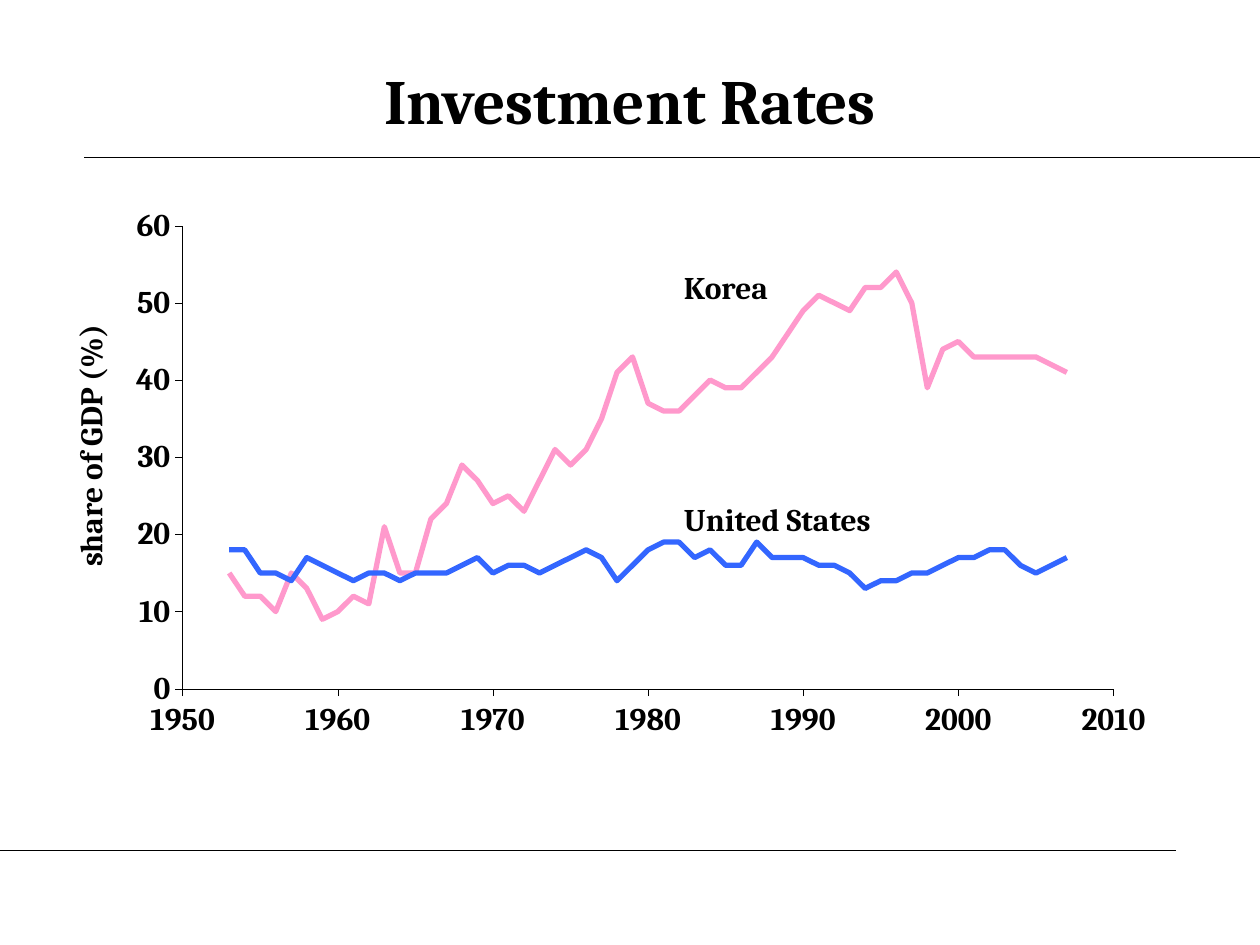
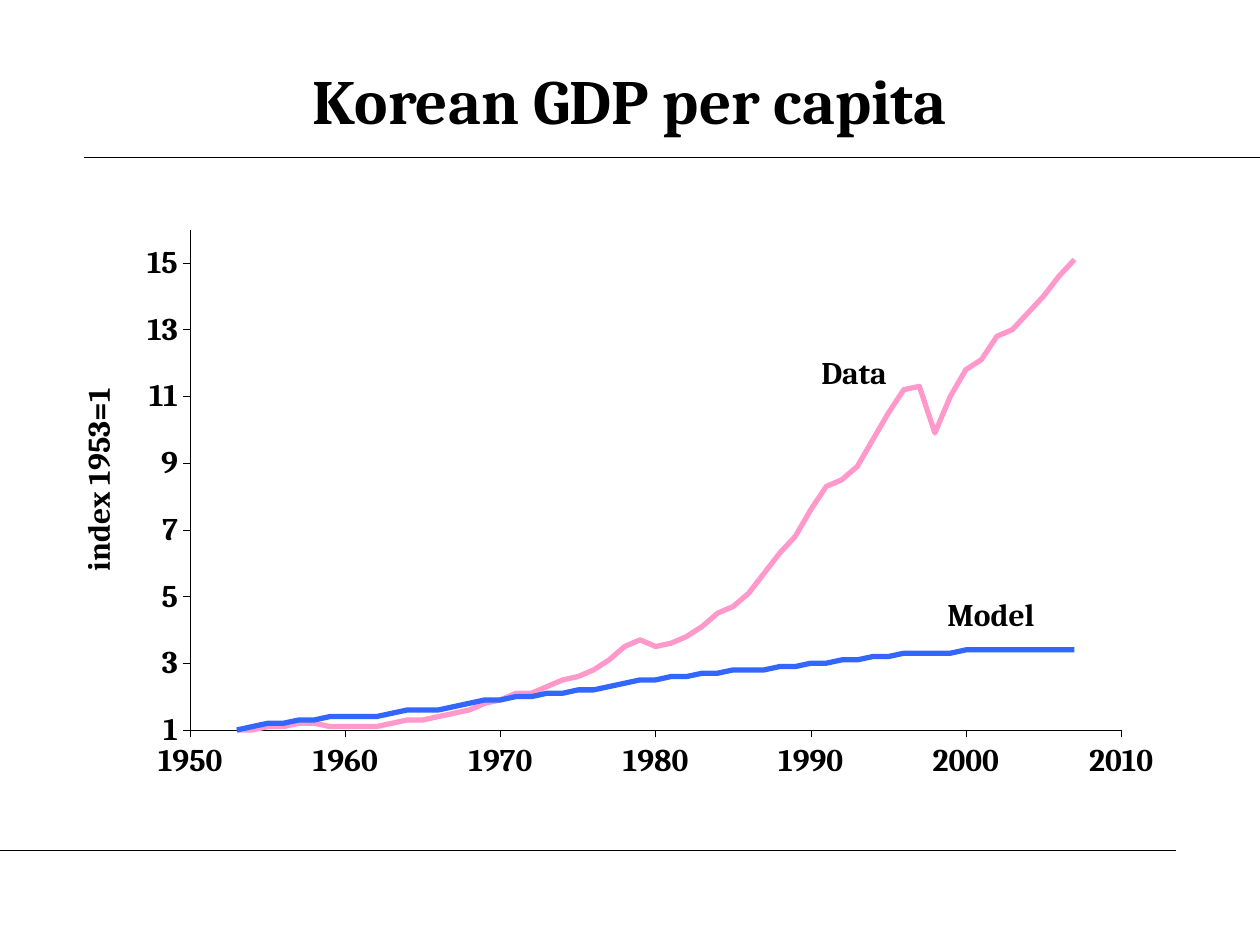
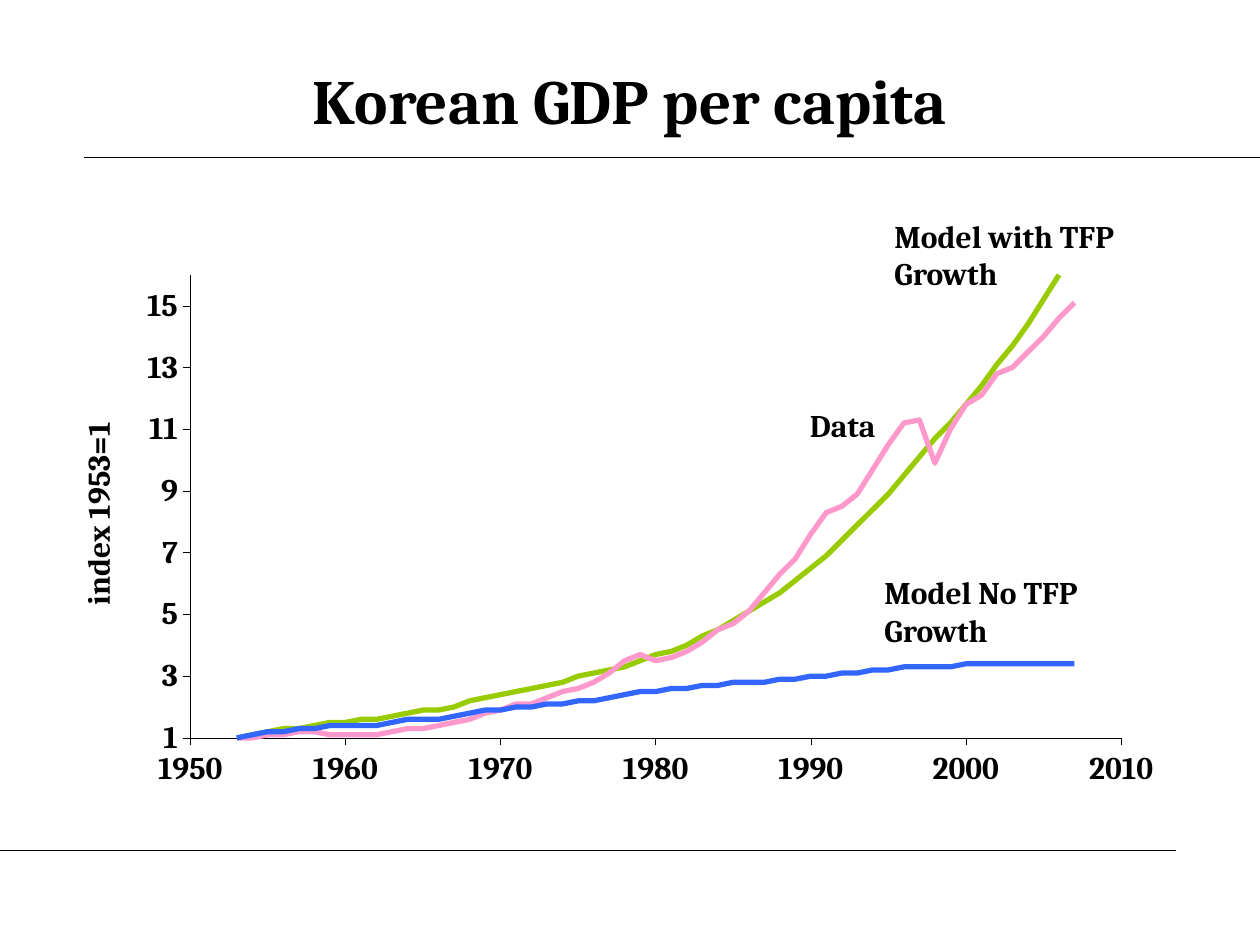
from lxml.etree import SubElement
from pptx import Presentation
from pptx.chart.data import XyChartData
from pptx.dml.color import RGBColor
from pptx.enum.chart import XL_AXIS_CROSSES, XL_CHART_TYPE, XL_TICK_MARK
from pptx.enum.shapes import MSO_CONNECTOR
from pptx.enum.text import MSO_ANCHOR, PP_ALIGN
from pptx.oxml.ns import qn
from pptx.util import Inches, Pt

FONT = "Cambria"
HEX = {"ink": "000000", "blue": "3366FF", "pink": "FF99CC", "green": "99CC00"}
YEARS = range(1953, 2008)
PLOT = {"x": 0.126, "y": 0.077, "w": 0.831, "h": 0.761}

USA = [
    18, 18, 15, 15, 14, 17, 16, 15, 14, 15, 15, 14, 15, 15, 15, 16, 17, 15, 16,
    16, 15, 16, 17, 18, 17, 14, 16, 18, 19, 19, 17, 18, 16, 16, 19, 17, 17, 17,
    16, 16, 15, 13, 14, 14, 15, 15, 16, 17, 17, 18, 18, 16, 15, 16, 17]
KOREA = [
    15, 12, 12, 10, 15, 13, 9, 10, 12, 11, 21, 15, 15, 22, 24, 29, 27, 24, 25,
    23, 27, 31, 29, 31, 35, 41, 43, 37, 36, 36, 38, 40, 39, 39, 41, 43, 46, 49,
    51, 50, 49, 52, 52, 54, 50, 39, 44, 45, 43, 43, 43, 43, 43, 42, 41]
MODEL = [
    1, 1.1, 1.2, 1.2, 1.3, 1.3, 1.4, 1.4, 1.4, 1.4, 1.5, 1.6, 1.6, 1.6, 1.7,
    1.8, 1.9, 1.9, 2, 2, 2.1, 2.1, 2.2, 2.2, 2.3, 2.4, 2.5, 2.5, 2.6, 2.6, 2.7,
    2.7, 2.8, 2.8, 2.8, 2.9, 2.9, 3, 3, 3.1, 3.1, 3.2, 3.2, 3.3, 3.3, 3.3, 3.3,
    3.4, 3.4, 3.4, 3.4, 3.4, 3.4, 3.4, 3.4]
DATA = [
    1, 1, 1.1, 1.1, 1.2, 1.2, 1.1, 1.1, 1.1, 1.1, 1.2, 1.3, 1.3, 1.4, 1.5, 1.6,
    1.8, 1.9, 2.1, 2.1, 2.3, 2.5, 2.6, 2.8, 3.1, 3.5, 3.7, 3.5, 3.6, 3.8, 4.1,
    4.5, 4.7, 5.1, 5.7, 6.3, 6.8, 7.6, 8.3, 8.5, 8.9, 9.7, 10.5, 11.2, 11.3,
    9.9, 11, 11.8, 12.1, 12.8, 13, 13.5, 14, 14.6, 15.1]
GROWTH = [
    1, 1.1, 1.2, 1.3, 1.3, 1.4, 1.5, 1.5, 1.6, 1.6, 1.7, 1.8, 1.9, 1.9, 2, 2.2,
    2.3, 2.4, 2.5, 2.6, 2.7, 2.8, 3, 3.1, 3.2, 3.3, 3.5, 3.7, 3.8, 4, 4.3, 4.5,
    4.8, 5.1, 5.4, 5.7, 6.1, 6.5, 6.9, 7.4, 7.9, 8.4, 8.9, 9.5, 10.1, 10.7,
    11.2, 11.8, 12.4, 13.1, 13.7, 14.4, 15.2, 16, 16.8]


def color(name):
    """Return a palette colour."""
    return RGBColor.from_string(HEX[name])


def style(font, size=18):
    """Apply the bold serif face."""
    font.name, font.size, font.bold = FONT, Pt(size), True
    font.color.rgb = color("ink")


def write(slide, text, box, size=18, align=PP_ALIGN.LEFT, anchor=MSO_ANCHOR.TOP):
    """Add one paragraph of text in a box."""
    frame = slide.shapes.add_textbox(*map(Inches, box)).text_frame
    frame.word_wrap, frame.vertical_anchor = True, anchor
    para = frame.paragraphs[0]
    para.text, para.alignment = text, align
    style(para.font, size)


def rule(slide, left, right, top):
    """Draw a thin level line."""
    line = slide.shapes.add_connector(
        MSO_CONNECTOR.STRAIGHT, *map(Inches, (left, top, right, top)))
    line.line.color.rgb, line.line.width = color("ink"), Pt(0.75)
    SubElement(line._element.spPr, qn("a:effectLst"))


def place(parent, index, spots, inner=False):
    """Fix the manual layout of a chart part."""
    for old in parent.findall(qn("c:layout")):
        parent.remove(old)
    layout = SubElement(parent, qn("c:layout"))
    parent.insert(index, layout)
    manual = SubElement(layout, qn("c:manualLayout"))
    marks = {"layoutTarget": "inner"} if inner else {}
    marks |= {"xMode": "edge", "yMode": "edge"} | spots
    for tag, val in marks.items():
        SubElement(manual, qn("c:" + tag)).set("val", str(val))


def scale(axis, low, high, step):
    """Set the range and look of an axis."""
    axis.minimum_scale, axis.maximum_scale, axis.major_unit = low, high, step
    axis.has_major_gridlines = False
    axis.major_tick_mark = XL_TICK_MARK.OUTSIDE
    axis.minor_tick_mark = XL_TICK_MARK.NONE
    axis.crosses = XL_AXIS_CROSSES.MINIMUM
    axis.format.line.color.rgb, axis.format.line.width = color("ink"), Pt(0.25)
    axis.tick_labels.number_format = "0"
    axis.tick_labels.number_format_is_linked = False
    style(axis.tick_labels.font)


def graph(slide, box, lines, unit, span, top):
    """Plot yearly lines with a titled value axis."""
    data = XyChartData()
    for name, _, vals in lines:
        series = data.add_series(name)
        for year, val in zip(YEARS, vals):
            series.add_data_point(year, val)
    chart = slide.shapes.add_chart(
        XL_CHART_TYPE.XY_SCATTER_LINES_NO_MARKERS, *map(Inches, box), data).chart
    chart.has_legend = chart.has_title = False
    style(chart.font)
    plot = chart.plots[0]
    plot.vary_by_categories = False
    for series, (_, tint, _) in zip(plot.series, lines):
        series.format.line.color.rgb = color(tint)
        series.format.line.width = Pt(3)
    scale(chart.category_axis, 1950, 2010, 10)
    axis = chart.value_axis
    scale(axis, *span)
    para = axis.axis_title.text_frame.paragraphs[0]
    para.text = unit
    style(para.font)
    place(axis._element.find(qn("c:title")), 1, {"x": 0.02, "y": top})
    place(chart._chartSpace.chart.plotArea, 0, PLOT, True)


def page(deck, title, box, lines, unit, span, top, notes):
    """Build a slide with a title, rules, a graph and labels."""
    slide = deck.slides.add_slide(deck.slide_layouts[6])
    rule(slide, 0.67, 10, 1.25)
    rule(slide, 0, 9.33, 6.75)
    write(slide, title, (0.5, 0.33, 9, 0.92), 36, PP_ALIGN.CENTER, MSO_ANCHOR.MIDDLE)
    graph(slide, box, lines, unit, span, top)
    for text, spot in notes:
        write(slide, text, spot)


def main():
    """Build and save the deck."""
    deck = Presentation()
    deck.slide_width, deck.slide_height = Inches(10), Inches(7.5)
    page(deck, "Investment Rates", (0.33, 1.42, 8.89, 4.83),
         [("United States", "blue", USA), ("Korea", "pink", KOREA)],
         "share of GDP (%)", (0, 60, 10), 0.23,
         [("Korea", (5.33, 2.08, 1.17, 0.4)),
          ("United States", (5.33, 3.92, 2.25, 0.4))])
    title, unit, span = "Korean GDP per capita", "index 1953=1", (1, 16, 2)
    lines = [("Model", "blue", MODEL), ("Data", "pink", DATA)]
    page(deck, title, (0.39, 1.42, 8.89, 5.22), lines, unit, span, 0.31,
         [("Data", (6.42, 2.75, 1.33, 0.4)), ("Model", (7.42, 4.67, 1.33, 0.4))])
    page(deck, title, (0.39, 1.81, 8.89, 4.83),
         lines + [("Model with TFP Growth", "green", GROWTH)], unit, span, 0.31,
         [("Data", (6.33, 3.17, 1.33, 0.4)),
          ("Model No TFP Growth", (6.92, 4.5, 2.08, 0.7)),
          ("Model with TFP Growth", (7, 1.67, 2.08, 0.7))])
    deck.save("out.pptx")


if __name__ == "__main__":
    main()
